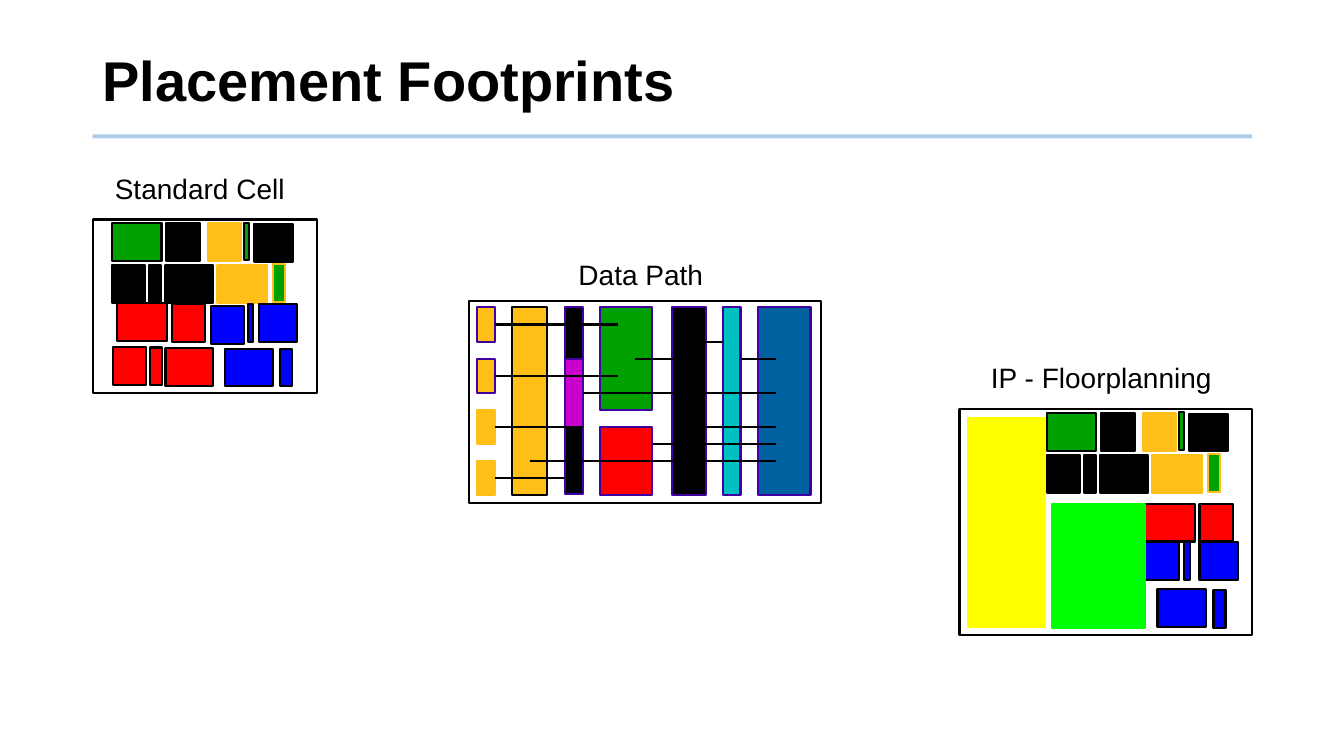
from lxml.etree import SubElement
from pptx import Presentation
from pptx.dml.color import RGBColor
from pptx.enum.shapes import MSO_CONNECTOR, MSO_SHAPE
from pptx.enum.text import MSO_ANCHOR
from pptx.oxml.ns import qn
from pptx.util import Pt

COLOURS = {
    "black": "000000", "rule": "5B9BD5", "green": "00A000", "amber": "FFBF18",
    "red": "FF0000", "blue": "0000FF", "yellow": "FFFF00", "lime": "00FF00",
    "magenta": "CC00CC", "purple": "4000A2", "teal": "00C1C2", "navy": "0060A0",
}
LINE_WIDTH = 1.47
CELL_HEIGHT = 27
TRACK_TOP, TRACK_PITCH = 219.6, 12.2
IP_SHIFT = (667.8, 135.6)

# Cells: left, top, width, fill, line
LOGIC_CELLS = [
    (80, 159.6, 35.4, "green", "black"),
    (118.6, 159.4, 24.2, "black", "black"),
    (148.4, 159.4, 23.8, "amber", "amber"),
    (174.2, 159, 3.8, "green", "black"),
    (181.6, 159.8, 27.6, "black", "black"),
    (79.8, 189.2, 24, "black", "black"),
    (106.6, 189.2, 8.6, "black", "black"),
    (118.2, 189.4, 34.2, "black", "black"),
    (155.4, 189.4, 35.6, "amber", "amber"),
    (195.2, 188.8, 8.6, "green", "amber"),
]
STANDARD_CELLS = [
    (83.6, 216.6, 35.8, "red", "black"),
    (122.6, 217.4, 23.8, "red", "black"),
    (150.4, 218.4, 24, "blue", "black"),
    (177, 217.2, 4, "blue", "black"),
    (185, 217.2, 27.4, "blue", "black"),
    (80.6, 248, 24, "red", "black"),
    (107.2, 248.2, 8.6, "red", "black"),
    (118.2, 248.4, 34, "red", "black"),
    (160.4, 249, 34.8, "blue", "black"),
    (200.2, 249, 8.6, "blue", "black"),
]
IP_CELLS = [
    (818, 359.8, 35.8, "red", "black"),
    (856.8, 359.8, 24, "red", "black"),
    (818, 387.4, 24, "blue", "black"),
    (845.8, 387.4, 4.2, "blue", "black"),
    (856.8, 387.4, 27.6, "blue", "black"),
    (826.8, 421, 34.8, "blue", "black"),
    (866.8, 421.4, 8.6, "blue", "black"),
]
# Blocks: left, width, first track, last track, fill, line
DATA_BLOCKS = [
    (365.8, 25.2, 0, 11, "amber", "black"),
    (403.8, 12.4, 0, 3, "black", "purple"),
    (403.8, 12.4, 3, 7, "magenta", "purple"),
    (403.8, 12.4, 7, 10.9, "black", "purple"),
    (428.4, 37.6, 0, 6, "green", "purple"),
    (428.4, 37.6, 7, 11, "red", "purple"),
    (480.2, 24, 0, 11, "black", "purple"),
    (516.2, 12.8, 0, 11, "teal", "purple"),
    (541.4, 37.6, 0, 11, "navy", "purple"),
    (340.6, 12.8, 9, 11, "amber", "amber"),
    (340.6, 12.8, 6, 8, "amber", "amber"),
    (340.6, 12.8, 3, 5, "amber", "purple"),
    (340.6, 12.8, 0, 2, "amber", "purple"),
]
# Wires: track, start, end
DATA_WIRES = [
    (1, 353.4, 441.2), (4, 353.4, 441.2), (7, 353.4, 416.2), (10, 353.4, 403.8),
    (9, 378.6, 453.8), (3, 453.8, 491.8), (5, 416.2, 554.2), (9, 416.2, 554.2),
    (8, 466.4, 554.2), (7, 491.8, 554.2), (2, 491.8, 516.2), (3, 529.2, 554.2),
]


def colour(name):
    """Return the named colour."""
    return RGBColor.from_string(COLOURS[name])


def track(number):
    """Return the height of a data path track on the slide."""
    return TRACK_TOP + number * TRACK_PITCH


def add_text(slide, text, left, top, width, height, size=20, bold=False, inset=0,
             anchor=MSO_ANCHOR.TOP, spacing=1.0):
    """Add a one-paragraph text box."""
    frame = slide.shapes.add_textbox(Pt(left), Pt(top), Pt(width), Pt(height)).text_frame
    frame.word_wrap = True
    frame.vertical_anchor = anchor
    frame.margin_left = frame.margin_right = Pt(inset)
    frame.margin_top = frame.margin_bottom = Pt(inset / 2)
    paragraph = frame.paragraphs[0]
    paragraph.text = text
    paragraph.line_spacing = spacing
    paragraph.font.name = "Arial"
    paragraph.font.size = Pt(size)
    paragraph.font.bold = bold
    paragraph.font.color.rgb = colour("black")


def add_box(shapes, left, top, width, height, fill=None, line="black"):
    """Add an outlined rectangle, hollow unless a fill is named."""
    shape = shapes.add_shape(MSO_SHAPE.RECTANGLE, Pt(left), Pt(top), Pt(width), Pt(height))
    shape.shadow.inherit = False
    if fill:
        shape.fill.solid()
        shape.fill.fore_color.rgb = colour(fill)
    else:
        shape.fill.background()
    shape.line.color.rgb = colour(line)
    shape.line.width = Pt(LINE_WIDTH)


def add_line(shapes, start, end, height, name="black", width=LINE_WIDTH, opacity=100):
    """Add a horizontal line."""
    line = shapes.add_connector(MSO_CONNECTOR.STRAIGHT, Pt(start), Pt(height), Pt(end), Pt(height))
    line.line.color.rgb = colour(name)
    line.line.width = Pt(width)
    properties = line._element.spPr
    if opacity < 100:
        tint = properties.find(".//" + qn("a:srgbClr"))
        SubElement(tint, qn("a:alpha")).set("val", str(opacity * 1000))
    SubElement(properties, qn("a:effectLst"))


def add_cells(shapes, cells, shift=(0, 0)):
    """Add cells of equal height, moved by the shift."""
    for left, top, width, fill, line in cells:
        add_box(shapes, left + shift[0], top + shift[1], width, CELL_HEIGHT, fill, line)


def add_standard_cell(slide):
    """Draw the standard cell footprint."""
    shapes = slide.shapes.add_group_shape().shapes
    add_box(shapes, 66.4, 156.8, 159.8, 124)
    add_cells(shapes, LOGIC_CELLS)
    add_cells(shapes, STANDARD_CELLS)


def add_floorplan(slide):
    """Draw the floorplan with its two large blocks."""
    shapes = slide.shapes.add_group_shape().shapes
    add_box(shapes, 685.4, 292.4, 208.8, 161.2)
    add_cells(shapes, LOGIC_CELLS, IP_SHIFT)
    add_cells(shapes, IP_CELLS)
    add_box(shapes, 691.2, 298.8, 55.4, 149, "yellow", "yellow")
    add_box(shapes, 751.6, 360, 66.2, 88.6, "lime", "lime")


def add_data_path(slide):
    """Draw the data path blocks and their wires."""
    shapes = slide.shapes.add_group_shape().shapes
    for left, width, first, last, fill, line in DATA_BLOCKS:
        add_box(shapes, left, track(first), width, (last - first) * TRACK_PITCH, fill, line)
    for number, start, end in DATA_WIRES:
        add_line(shapes, start, end, track(number))
    add_box(shapes, 334.8, 215.2, 252, 144)


def main():
    """Build and save the slide."""
    presentation = Presentation()
    presentation.slide_width, presentation.slide_height = Pt(960), Pt(540)
    slide = presentation.slides.add_slide(presentation.slide_layouts[6])
    add_line(slide.shapes, 66.2, 894.2, 97.4, "rule", width=3, opacity=50)
    add_text(slide, "Placement Footprints", 66.2, 20.2, 828, 79.2, size=40, bold=True,
             inset=7.2, anchor=MSO_ANCHOR.MIDDLE, spacing=0.9)
    add_standard_cell(slide)
    add_text(slide, "Standard Cell", 82, 122.4, 126, 22.4)
    add_text(slide, "Data Path", 413.2, 183.6, 91, 22.4)
    add_floorplan(slide)
    add_text(slide, "IP - Floorplanning", 707.8, 257.8, 161.2, 22.4)
    add_data_path(slide)
    presentation.save("out.pptx")


if __name__ == "__main__":
    main()
